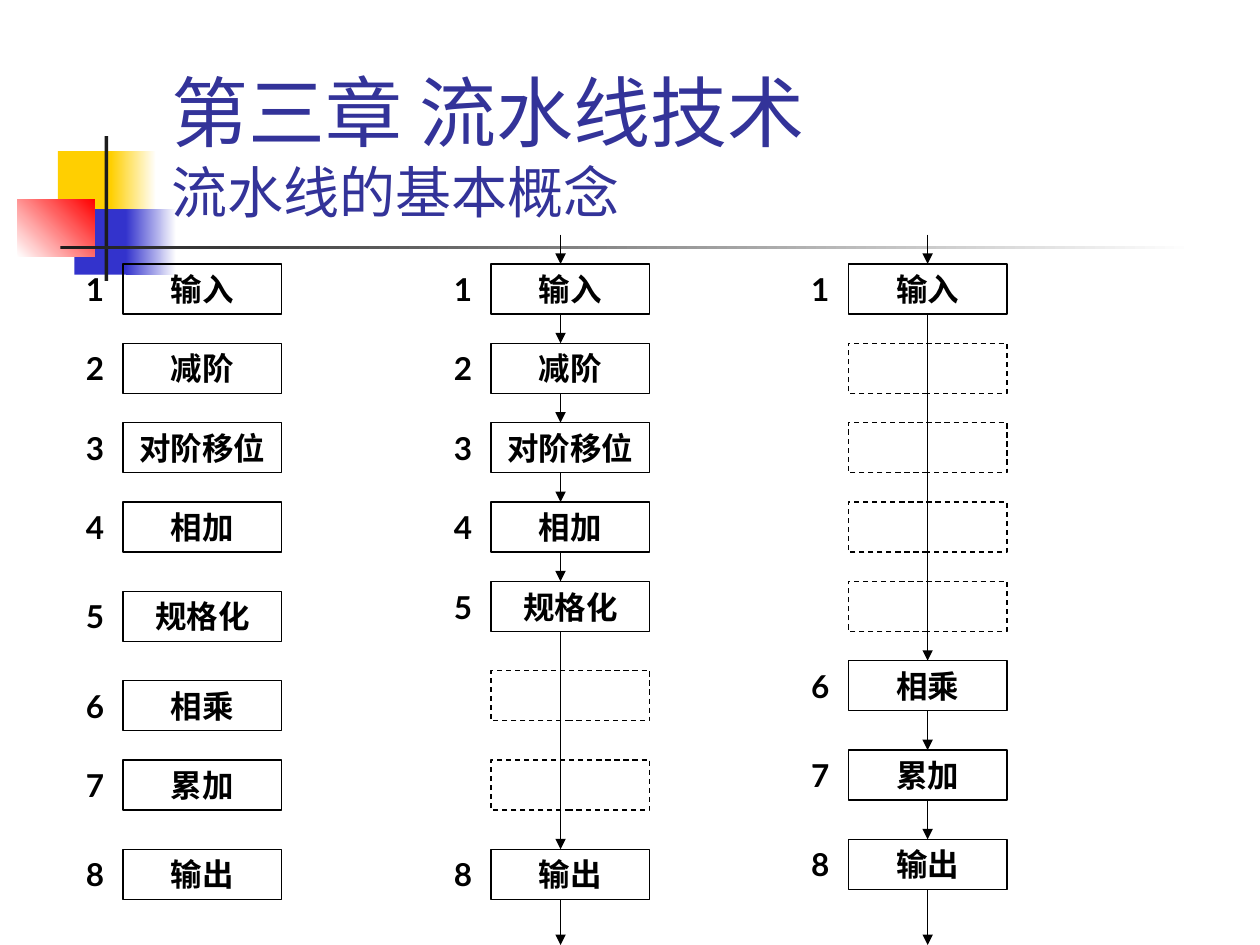
from pptx import Presentation
from pptx import util as u
from pptx.dml.color import RGBColor
from pptx.enum import dml, shapes, text
from pptx.oxml.ns import qn
from lxml import etree

TITLE = ["第三章 流水线技术", "流水线的基本概念"]
STEPS = ["输入", "减阶", "对阶移位", "相加", "规格化", "相乘", "累加", "输出"]
# Sizes of the flow grid are in centimetres.
FLOWS = [
    {"left": 2.48, "gaps": "nnnwwnw", "used": [1, 2, 3, 4, 5, 6, 7, 8], "axis": None},
    {"left": 9.9, "gaps": "nnnnwww", "used": [1, 2, 3, 4, 5, 8], "axis": 11.3},
    {"left": 17.1, "gaps": "nnnnnww", "used": [1, 6, 7, 8], "axis": 18.7},
]
GAP = {"n": 1.6, "w": 1.8}
TOP, START, END = 5.32, 4.73, 19.05
WIDE, HIGH, TAG, SHIFT = 3.2, 1.01, 1.2, 1.0
HEX = {"gold": "FFCF01", "blue": "3333CC", "red": "FF0000", "dark": "1C1C1C",
       "white": "FFFFFF", "ink": "000000", "title": "333399"}
DECOR = [
    (0.46, 1.2, 0.48, 0.52, ["gold"], 0),
    (0.88, 1.2, 0.36, 0.52, ["gold", "white"], 0),
    (0.59, 1.66, 0.46, 0.52, ["blue"], 0),
    (1, 1.66, 0.4, 0.52, ["blue", "white"], 0),
    (0.14, 1.58, 0.61, 0.46, ["white", "red"], 45),
    (0.83, 1.08, 0.03, 1.15, ["dark"], 0),
    (0.48, 1.95, 9, 0.03, ["dark", "white"], 0),
]
LATIN, CJK = "Lato", "Noto Sans CJK SC"

deck = Presentation()
deck.slide_width, deck.slide_height = u.Inches(10), u.Inches(7.5)
slide = deck.slides.add_slide(deck.slide_layouts[6])
tree = slide.shapes


def tint(name):
    return RGBColor.from_string(HEX[name])


def style(run, size, color, face=LATIN, bold=False):
    font = run.font
    font.size, font.bold, font.name = u.Pt(size), bold, face
    font.color.rgb = tint(color)
    etree.SubElement(run._r.get_or_add_rPr(), qn("a:ea")).set("typeface", CJK)


def rect(unit, *place):
    box = tree.add_shape(shapes.MSO_SHAPE.RECTANGLE, *map(unit, place))
    box.shadow.inherit = False
    return box


def label(box, words, align):
    frame = box.text_frame
    frame.text = words
    frame.word_wrap = True
    frame.vertical_anchor = text.MSO_ANCHOR.TOP
    para = frame.paragraphs[0]
    para.alignment = align
    style(para.runs[0], 18, "ink", bold=True)


def pen(line):
    line.color.rgb = tint("ink")
    line.width = u.Pt(0.75)


def arrow(x, top, end):
    link = tree.add_connector(shapes.MSO_CONNECTOR.STRAIGHT, *map(u.Cm, (x, top, x, end)))
    pen(link.line)
    tail = etree.SubElement(link.line._get_or_add_ln(), qn("a:tailEnd"))
    tail.set("type", "triangle")
    etree.SubElement(link._element.spPr, qn("a:effectLst"))


for *place, tones, angle in DECOR:
    box = rect(u.Inches, *place)
    box.line.fill.background()
    if len(tones) == 1:
        box.fill.solid()
        box.fill.fore_color.rgb = tint(tones[0])
    else:
        box.fill.gradient()
        box.fill.gradient_angle = angle
        for stop, tone in zip(box.fill.gradient_stops, tones):
            stop.color.rgb = tint(tone)

head = tree.add_textbox(*map(u.Inches, (1.26, 0.23, 8.52, 1.6))).text_frame
head.word_wrap = True
head.vertical_anchor = text.MSO_ANCHOR.BOTTOM
head.text = "\v".join(TITLE)
for run, size, face in zip(head.paragraphs[0].runs, (44, 32), (CJK, LATIN)):
    style(run, size, "title", face)

for flow in FLOWS:
    left, axis = flow["left"], flow["axis"]
    tops = [TOP]
    for gap in flow["gaps"]:
        tops.append(tops[-1] + GAP[gap])
    for num, (step, top) in enumerate(zip(STEPS, tops), 1):
        box = rect(u.Cm, left, top, WIDE, HIGH)
        box.fill.background()
        pen(box.line)
        if num in flow["used"]:
            label(box, step, text.PP_ALIGN.CENTER)
            tag = tree.add_textbox(*map(u.Cm, (left - SHIFT, top, TAG, HIGH)))
            label(tag, str(num), text.PP_ALIGN.LEFT)
        else:
            box.line.dash_style = dml.MSO_LINE.DASH
    if axis:
        live = [tops[num - 1] for num in flow["used"]]
        for top, end in zip([START] + [top + HIGH for top in live], live + [END]):
            arrow(axis, top, end)

deck.save("out.pptx")
